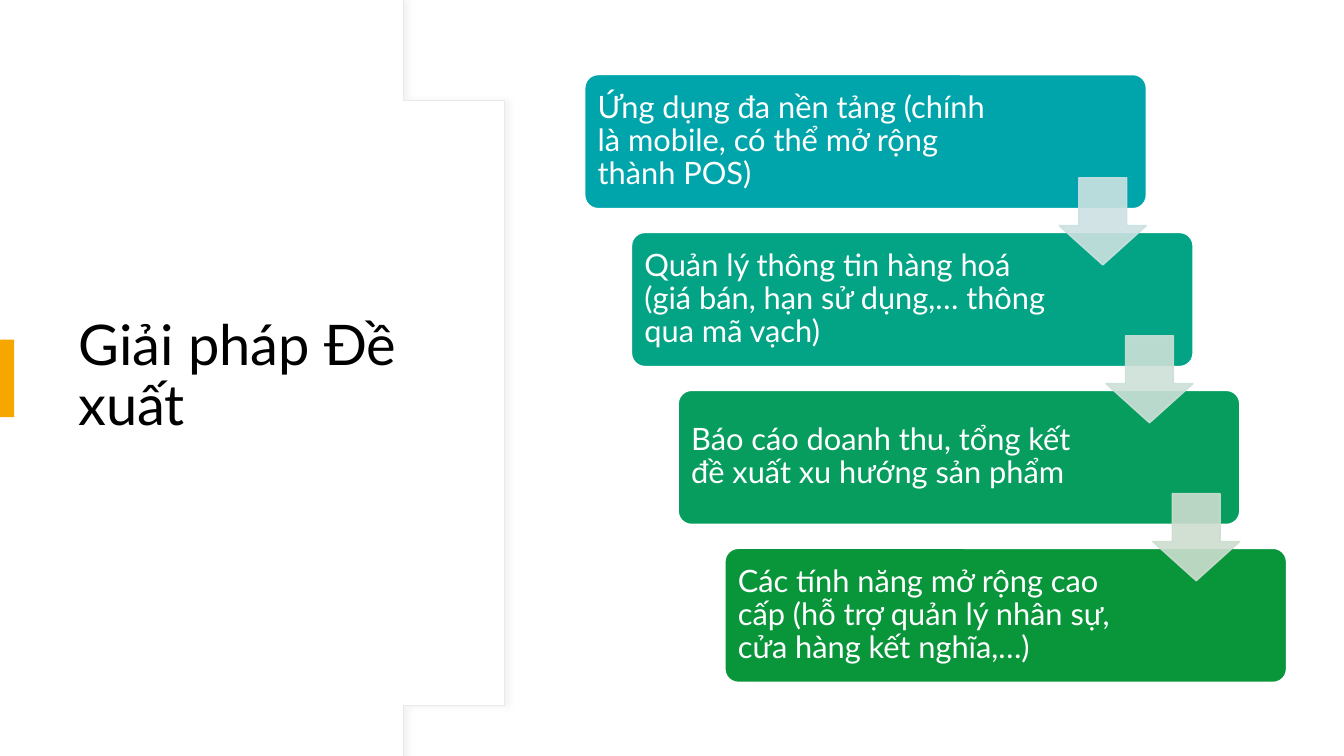
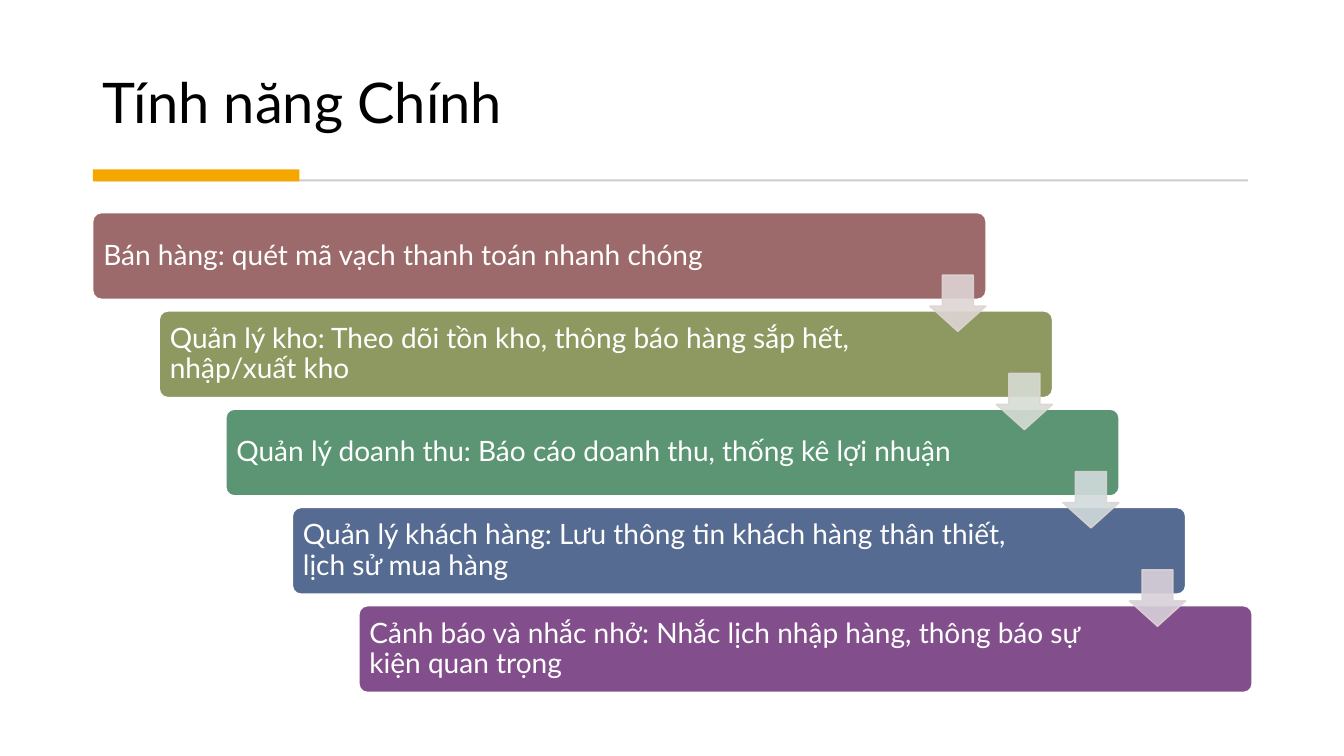
from lxml import etree
from pptx import Presentation, util as u
from pptx.dml.color import RGBColor
from pptx.enum import shapes, text
from pptx.oxml import ns

WIDTH, HEIGHT = 13.33, 7.5
WHITE = RGBColor(0xFF, 0xFF, 0xFF)
BLACK = RGBColor(0x00, 0x00, 0x00)
ACCENT = RGBColor(0xF5, 0xA7, 0x00)
RULE_GRAY = RGBColor(0x59, 0x59, 0x59)
CURVE_GRAY = RGBColor(0xE9, 0xE9, 0xE9)
SHADOW_GRAY = RGBColor(0xD9, 0xD9, 0xD9)
ARROW_EDGE = RGBColor(0xDE, 0xD4, 0xD4)
ARROW_ALPHA, RULE_ALPHA = 90, 30
ARROW_SHARE = 0.65  # arrow side as a share of the step height

# Content: step text, step colour, colour of the arrow that follows
SOLUTIONS = [
    ("Ứng dụng đa nền tảng (chính là mobile, có thể mở rộng thành POS)", "00A5AB", "CCE1E2"),
    ("Quản lý thông tin hàng hoá (giá bán, hạn sử dụng,… thông qua mã vạch)", "03A485", "CCE0D8"),
    ("Báo cáo doanh thu, tổng kết đề xuất xu hướng sản phẩm", "069D5E", "CCDDCF"),
    ("Các tính năng mở rộng cao cấp (hỗ trợ quản lý nhân sự, cửa hàng kết nghĩa,…)", "09963B", None),
]
FEATURES = [
    ("Bán hàng: quét mã vạch thanh toán nhanh chóng", "9C6A6A", "DED4D4"),
    ("Quản lý kho: Theo dõi tồn kho, thông báo hàng sắp hết, nhập/xuất kho", "8E9962", "D7DDD3"),
    ("Quản lý doanh thu: Báo cáo doanh thu, thống kê lợi nhuận", "5B9574", "D1DADC"),
    ("Quản lý khách hàng: Lưu thông tin khách hàng thân thiết, lịch sử mua hàng", "556B91", "D8D0DA"),
    ("Cảnh báo và nhắc nhở: Nhắc lịch nhập hàng, thông báo sự kiện quan trọng", "824F8C", None),
]

# Staircases: area is left, top, width, height; arrow_drop is a share of the step height
SOLUTION_STAIRS = dict(area=(5.8, 0.74, 6.96, 6.03), step=(5.57, 1.33), size=22,
                       inset=0.09, right_inset=1.42, arrow_drop=0.77)
FEATURE_STAIRS = dict(area=(0.92, 2.11, 11.5, 4.76), step=(8.86, 0.86), size=20,
                      inset=0.08, right_inset=1.3, arrow_drop=0.72)


def inches(*values):
    return [u.Inches(value) for value in values]


def set_alpha(properties, percent):
    """Make every solid colour below these shape properties translucent."""
    for colour in properties.iter(ns.qn("a:srgbClr")):
        etree.SubElement(colour, ns.qn("a:alpha"), val=str(percent * 1000))


def style(shape, fill, line=None, line_width=1):
    shape.shadow.inherit = False
    shape.fill.solid()
    shape.fill.fore_color.rgb = fill
    if line is None:
        shape.line.fill.background()
    else:
        shape.line.color.rgb = line
        shape.line.width = u.Pt(line_width)


def add_block(slide, kind, place, fill, line=None, adjustments=()):
    shape = slide.shapes.add_shape(kind, *inches(*place))
    style(shape, fill, line)
    for index, value in enumerate(adjustments):
        shape.adjustments[index] = value
    return shape


def write(shape, content, size, colour, anchor, margins):
    frame = shape.text_frame
    settings = dict(zip(("margin_left", "margin_top", "margin_right", "margin_bottom"),
                        inches(*margins)), word_wrap=True, vertical_anchor=anchor)
    for name, value in settings.items():
        setattr(frame, name, value)
    paragraph = frame.paragraphs[0]
    paragraph.text = content
    paragraph.alignment = text.PP_ALIGN.LEFT
    paragraph.line_spacing = 0.9
    for name, value in dict(name="Lato", size=u.Pt(size)).items():
        setattr(paragraph.font, name, value)
    paragraph.font.color.rgb = colour


def add_title(slide, content, place, anchor):
    box = slide.shapes.add_textbox(*inches(*place))
    write(box, content, 40, BLACK, anchor, (0.1, 0.05, 0.1, 0.05))


def add_accent(slide, place):
    add_block(slide, shapes.MSO_SHAPE.RECTANGLE, place, ACCENT)


def add_staircase(slide, steps, area, step, size, inset, right_inset, arrow_drop):
    left, top, width, height = area
    step_width, step_height = step
    gaps = len(steps) - 1
    across, down = (width - step_width) / gaps, (height - step_height) / gaps
    corners = [(left + i * across, top + i * down) for i in range(len(steps))]

    for (x, y), (content, fill, _) in zip(corners, steps):
        block = add_block(slide, shapes.MSO_SHAPE.ROUNDED_RECTANGLE, (x, y, *step),
                          RGBColor.from_string(fill), WHITE, [0.1])
        write(block, content, size, WHITE, text.MSO_ANCHOR.MIDDLE,
              (inset, inset, right_inset, inset))

    # Arrows lie over the steps, flush with the right edge of the step above
    side = ARROW_SHARE * step_height
    for (x, y), (_, _, fill) in zip(corners[:-1], steps):
        place = (x + step_width - side, y + arrow_drop * step_height, side, side)
        colour = RGBColor.from_string(fill)
        edge = colour if steps is SOLUTIONS else ARROW_EDGE
        arrow = add_block(slide, shapes.MSO_SHAPE.DOWN_ARROW, place, colour, edge, [0.55, 0.45])
        set_alpha(arrow._element.spPr, ARROW_ALPHA)


def bezier(start, control_1, control_2, end, count=40):
    for i in range(1, count + 1):
        t = i / count
        weights = ((1 - t) ** 3, 3 * t * (1 - t) ** 2, 3 * t * t * (1 - t), t ** 3)
        yield tuple(sum(w * point[axis] for w, point in
                        zip(weights, (start, control_1, control_2, end))) for axis in (0, 1))


def add_curved_panel(slide):
    upper = [(3.94, 0), (4.01, 0.08)]
    upper += bezier(upper[-1], (4.79, 1.02), (5.27, 2.32), (5.27, HEIGHT / 2))
    lower = [(x, HEIGHT - y) for x, y in reversed(upper[:-1])]
    builder = slide.shapes.build_freeform(0, 0, scale=u.Inches(1))
    builder.add_line_segments(upper + lower + [(0, HEIGHT)], close=True)
    panel = builder.convert_to_shape()
    style(panel, WHITE, CURVE_GRAY, 0.75)
    effects = panel._element.spPr.find(ns.qn("a:effectLst"))
    shadow = etree.SubElement(effects, ns.qn("a:outerShdw"), blurRad=str(u.Pt(4)),
                              dist=str(u.Pt(3)), dir="0", algn="l", rotWithShape="0")
    etree.SubElement(shadow, ns.qn("a:srgbClr"), val=str(SHADOW_GRAY))
    set_alpha(shadow, 30)


def add_rule(slide, left, right, y):
    rule = slide.shapes.add_connector(shapes.MSO_CONNECTOR.STRAIGHT, *inches(left, y, right, y))
    rule.line.color.rgb = RULE_GRAY
    rule.line.width = u.Pt(1.4)
    properties = rule._element.spPr
    set_alpha(properties, RULE_ALPHA)
    etree.SubElement(properties, ns.qn("a:effectLst"))


def main():
    presentation = Presentation()
    presentation.slide_width, presentation.slide_height = inches(WIDTH, HEIGHT)
    blank = presentation.slide_layouts[6]

    # Proposed solution
    slide = presentation.slides.add_slide(blank)
    add_curved_panel(slide)
    add_title(slide, "Giải pháp Đề xuất", (0.68, 1.27, 3.94, 4.95), text.MSO_ANCHOR.MIDDLE)
    add_accent(slide, (0, 3.37, 0.14, 0.77))
    add_staircase(slide, SOLUTIONS, **SOLUTION_STAIRS)

    # Main features
    slide = presentation.slides.add_slide(blank)
    add_title(slide, "Tính năng Chính", (0.92, 0.28, 11.49, 1.11), text.MSO_ANCHOR.BOTTOM)
    add_rule(slide, 0.95, 12.38, 1.79)
    add_accent(slide, (0.92, 1.68, 2.05, 0.12))
    add_staircase(slide, FEATURES, **FEATURE_STAIRS)

    presentation.save("out.pptx")


if __name__ == "__main__":
    main()
